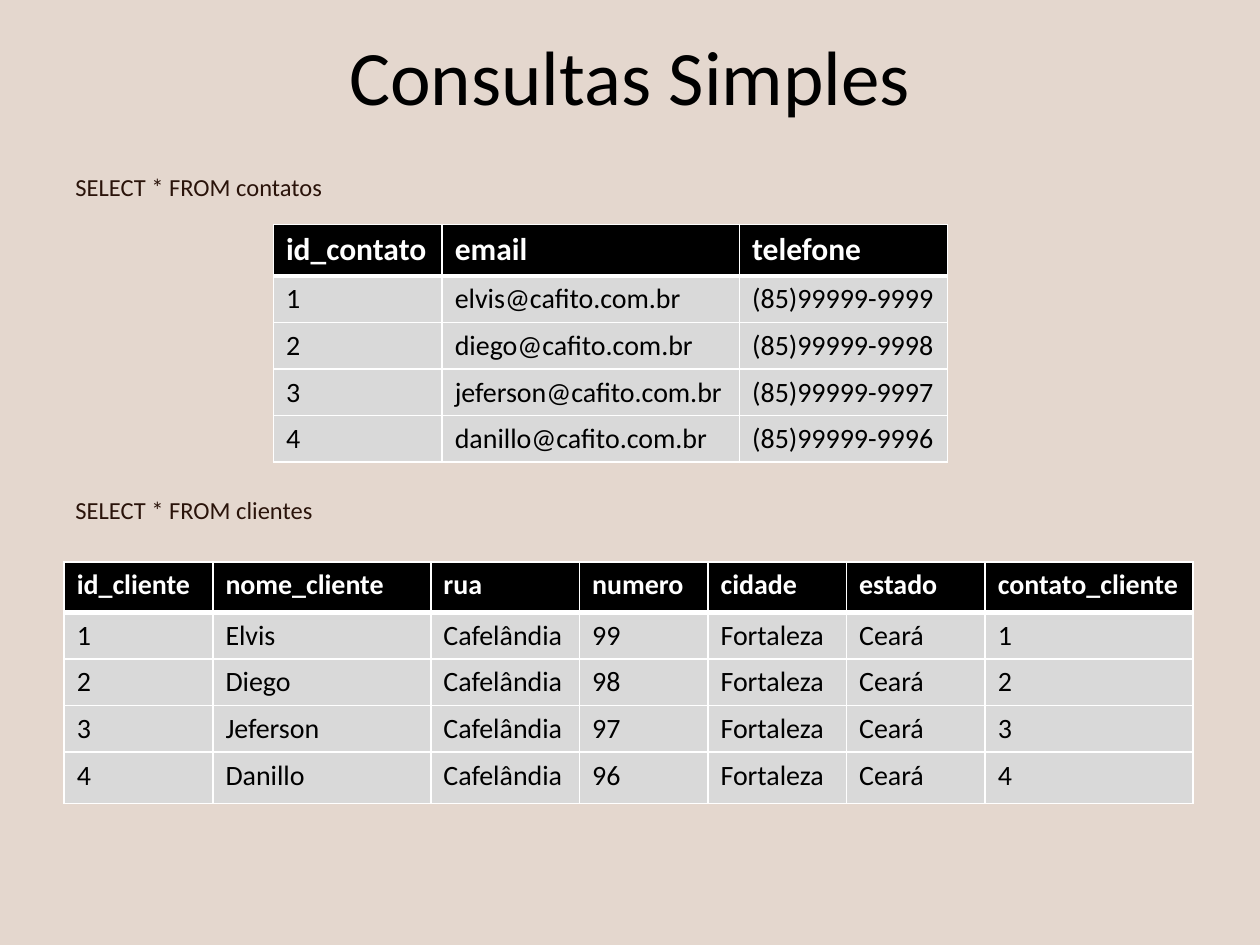
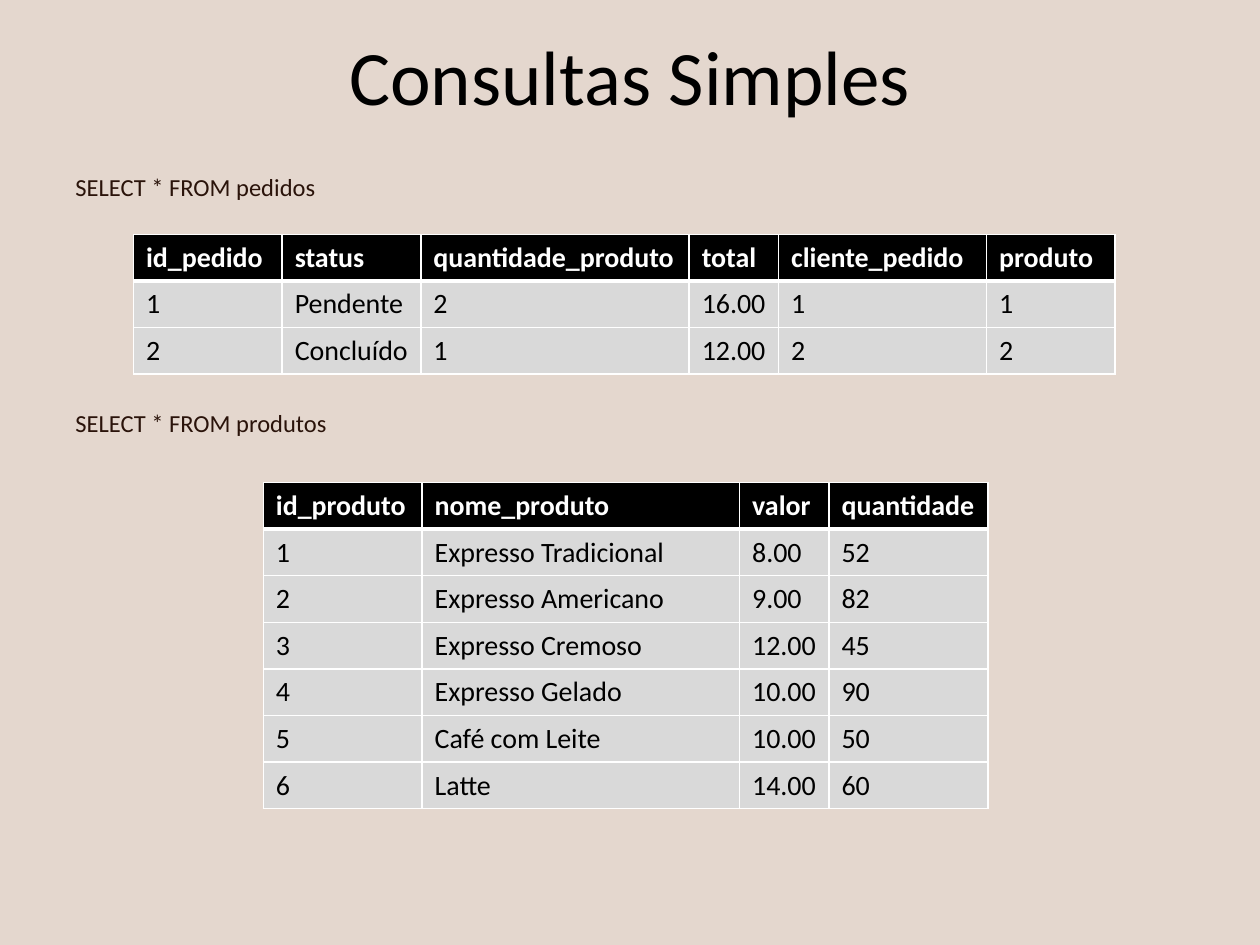
from lxml import etree
from pptx import Presentation
from pptx import util as u
from pptx.dml.color import RGBColor
from pptx.enum import text
from pptx.oxml import ns

# Shared style
FONT = "Calibri"
BACKGROUND, BLACK, WHITE = "E4D7CE", "000000", "FFFFFF"
QUERY_COLOUR, ROW_FILL = "2A130A", "D9D9D9"
ROW_HEIGHT = 0.37
THIN, THICK = 1, 3


def colour(value):
    return RGBColor.from_string(value)


def write_text(frame, content, size=16, color=BLACK, bold=False,
               align=text.PP_ALIGN.LEFT, anchor=text.MSO_ANCHOR.TOP):
    frame.word_wrap = True
    frame.vertical_anchor = anchor
    paragraph = frame.paragraphs[0]
    paragraph.alignment = align
    run = paragraph.add_run()
    run.text = content
    run.font.name = FONT
    run.font.size = u.Pt(size)
    run.font.bold = bold
    run.font.color.rgb = colour(color)


# Each query: caption, caption top, table left and top, header size,
# header and last row heights, column widths, rows (header first)
contacts = dict(
    caption="SELECT * FROM contatos", caption_top=1.32, left=2.17, top=1.78,
    header_size=18, header_height=0.41, last_height=ROW_HEIGHT,
    widths=[1.34, 2.36, 1.65],
    rows=[["id_contato", "email", "telefone"]] + [
        [str(number), f"{name}@cafito.com.br", f"(85)99999-{10000 - number}"]
        for number, name in enumerate(["elvis", "diego", "jeferson", "danillo"], 1)])

clients = dict(
    caption="SELECT * FROM clientes", caption_top=3.88, left=0.51, top=4.46,
    header_size=16, header_height=0.4, last_height=0.41,
    widths=[1.18, 1.73, 1.18, 1.02, 1.1, 1.1, 1.65],
    rows=[["id_cliente", "nome_cliente", "rua", "numero", "cidade", "estado",
           "contato_cliente"]] + [
        [str(number), name, "Cafelândia", str(100 - number), "Fortaleza", "Ceará",
         str(number)]
        for number, name in enumerate(["Elvis", "Diego", "Jeferson", "Danillo"], 1)])
# Phone numbers count down from 9999
for number, row in enumerate(contacts["rows"][1:]):
    row[2] = f"(85)99999-{9999 - number}"

orders = dict(
    caption="SELECT * FROM pedidos", caption_top=1.32, left=1.06, top=1.86,
    header_size=16, header_height=ROW_HEIGHT, last_height=ROW_HEIGHT,
    widths=[1.18, 1.1, 2.13, 0.71, 1.65, 1.02],
    rows=[["id_pedido", "status", "quantidade_produto", "total", "cliente_pedido",
           "produto"],
          ["1", "Pendente", "2", "16.00", "1", "1"],
          ["2", "Concluído", "1", "12.00", "2", "2"]])

products = dict(
    caption="SELECT * FROM produtos", caption_top=3.19, left=2.09, top=3.83,
    header_size=16, header_height=ROW_HEIGHT, last_height=ROW_HEIGHT,
    widths=[1.26, 2.52, 0.71, 1.26],
    rows=[["id_produto", "nome_produto", "valor", "quantidade"],
          ["1", "Expresso Tradicional", "8.00", "52"],
          ["2", "Expresso Americano", "9.00", "82"],
          ["3", "Expresso Cremoso", "12.00", "45"],
          ["4", "Expresso Gelado", "10.00", "90"],
          ["5", "Café com Leite", "10.00", "50"],
          ["6", "Latte", "14.00", "60"]])

presentation = Presentation()
presentation.slide_width, presentation.slide_height = u.Inches(10), u.Inches(7.5)

for queries in [(contacts, clients), (orders, products)]:
    slide = presentation.slides.add_slide(presentation.slide_layouts[6])
    slide.background.fill.solid()
    slide.background.fill.fore_color.rgb = colour(BACKGROUND)

    # Title
    title = slide.shapes.add_textbox(
        u.Inches(0.5), u.Inches(-0.03), u.Inches(9), u.Inches(1.25))
    write_text(title.text_frame, "Consultas Simples", size=44,
               align=text.PP_ALIGN.CENTER, anchor=text.MSO_ANCHOR.MIDDLE)

    for query in queries:
        # Query caption
        caption = slide.shapes.add_textbox(
            u.Inches(0.5), u.Inches(query["caption_top"]), u.Inches(9), u.Inches(0.34))
        write_text(caption.text_frame, query["caption"], size=14, color=QUERY_COLOUR)

        # Result table
        rows, widths = query["rows"], query["widths"]
        heights = ([query["header_height"]] + [ROW_HEIGHT] * (len(rows) - 2)
                   + [query["last_height"]])
        table = slide.shapes.add_table(
            len(rows), len(widths), u.Inches(query["left"]), u.Inches(query["top"]),
            u.Inches(sum(widths)), u.Inches(sum(heights))).table
        table.horz_banding = False
        for column, width in zip(table.columns, widths):
            column.width = u.Inches(width)

        for row_index, values in enumerate(rows):
            table.rows[row_index].height = u.Inches(heights[row_index])
            header = row_index == 0
            for column_index, value in enumerate(values):
                cell = table.cell(row_index, column_index)
                write_text(cell.text_frame, value,
                           size=query["header_size"] if header else 16,
                           color=WHITE if header else BLACK, bold=header)
                cell.fill.solid()
                cell.fill.fore_color.rgb = colour(BLACK if header else ROW_FILL)

                # White borders, thicker under the header
                borders = {"lnL": THIN, "lnR": THIN,
                           "lnT": THICK if row_index == 1 else THIN,
                           "lnB": THICK if header else THIN}
                properties = cell._tc.get_or_add_tcPr()
                for position, (side, points) in enumerate(borders.items()):
                    line = etree.Element(ns.qn(f"a:{side}"), w=str(u.Pt(points)))
                    fill = etree.SubElement(line, ns.qn("a:solidFill"))
                    etree.SubElement(fill, ns.qn("a:srgbClr"), val=WHITE)
                    properties.insert(position, line)

presentation.save("out.pptx")
